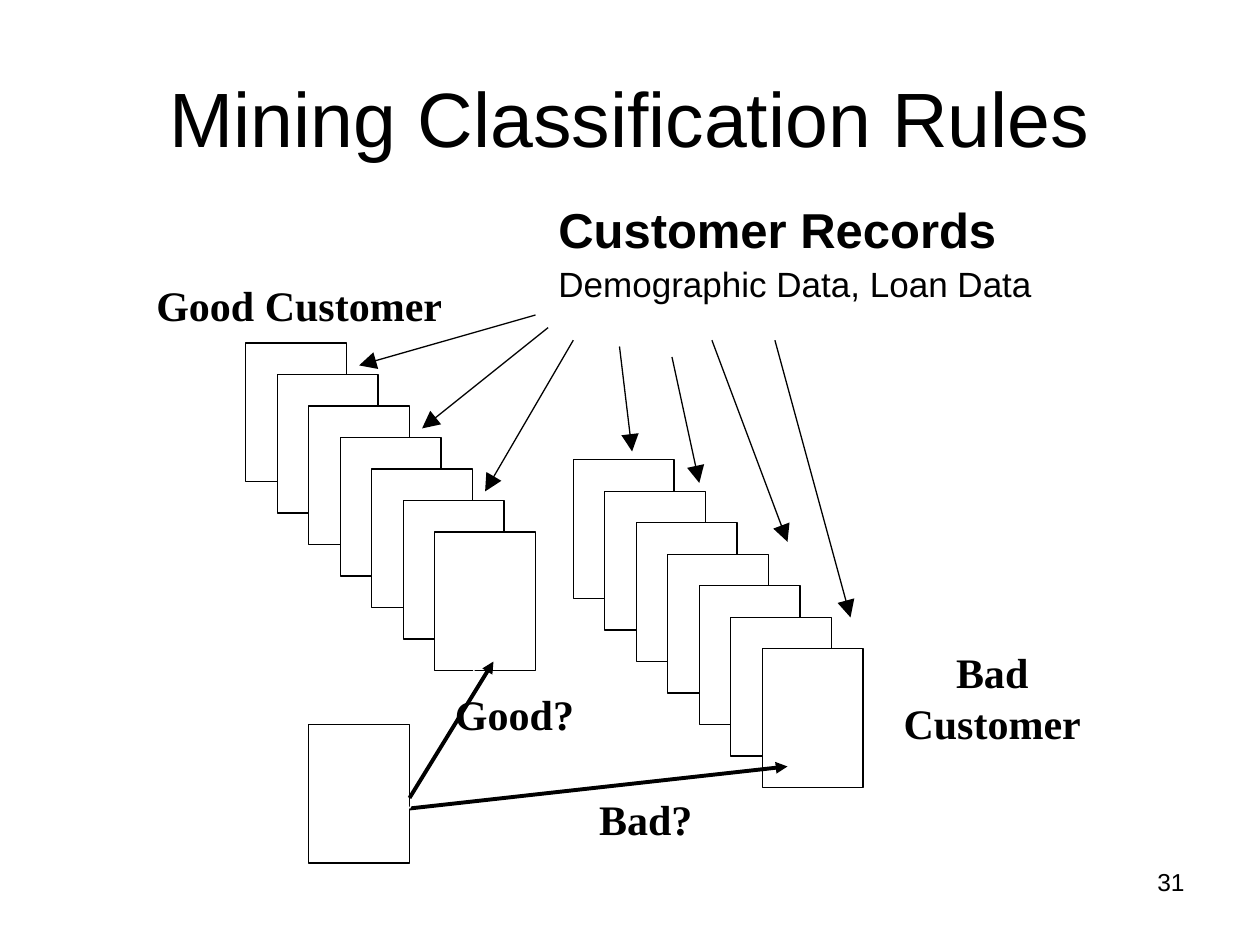
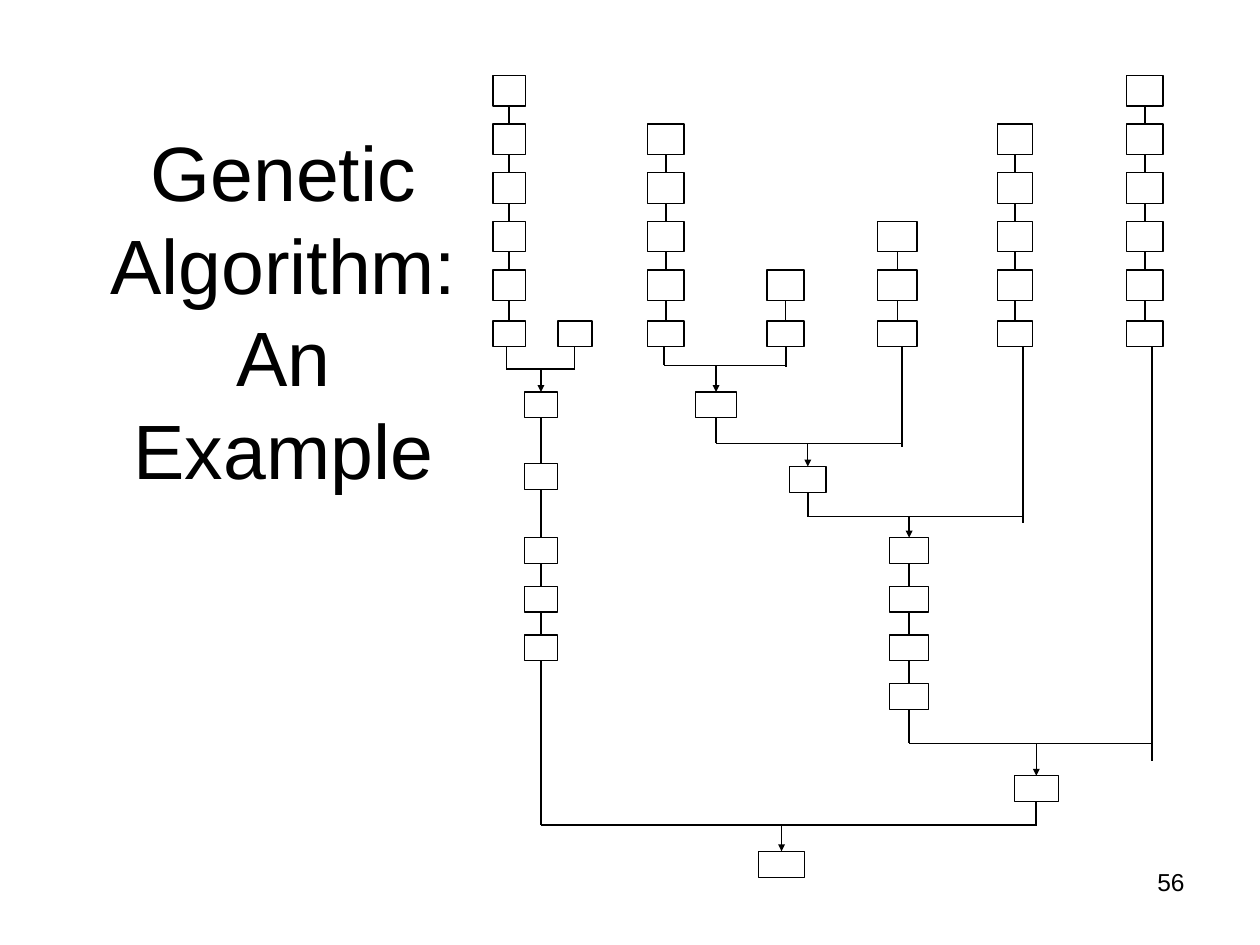
import pptx
import pptx.util
import pptx.dml.color
import pptx.enum.shapes
import pptx.enum.text
import pptx.oxml.ns
from lxml import etree

Pt = pptx.util.Pt
ALIGN = pptx.enum.text.PP_ALIGN
ANCHOR = pptx.enum.text.MSO_ANCHOR
BLACK = pptx.dml.color.RGBColor(0, 0, 0)
WHITE = pptx.dml.color.RGBColor(255, 255, 255)

# Text styles shared by the pages
TITLE = {"name": "Arial", "size": Pt(44), "bold": False}
NUMBER = {"name": "Arial", "size": Pt(14), "bold": False}
HEADING = {"name": "Arial", "size": Pt(28), "bold": True}
DETAIL = {"name": "Arial", "size": Pt(20), "bold": False}
LABEL = {"name": "Times New Roman", "size": Pt(24), "bold": True}
NUMBER_PLACE = (516, 492, 168, 37.2)
THIN, LINK, BOLD = 0.75, 1, 2.25

deck = pptx.Presentation()
deck.slide_width, deck.slide_height = Pt(720), Pt(540)
rules_page, tree_page = [deck.slides.add_slide(deck.slide_layouts[6]) for _ in range(2)]


def add_box(page, left, top, width, height, fill=None):
    """Draw a thin black rectangle, empty unless a fill is given."""
    box = page.shapes.add_shape(pptx.enum.shapes.MSO_SHAPE.RECTANGLE,
                                Pt(left), Pt(top), Pt(width), Pt(height))
    box.shadow.inherit = False
    box.line.color.rgb = BLACK
    box.line.width = Pt(THIN)
    if fill is None:
        box.fill.background()
    else:
        box.fill.solid()
        box.fill.fore_color.rgb = fill


def add_line(page, start, end, width=LINK, head=None, color=BLACK):
    """Draw a straight line; head is the arrowhead size: sm, med or lg."""
    line = page.shapes.add_connector(
        pptx.enum.shapes.MSO_CONNECTOR.STRAIGHT, *map(Pt, (*start, *end)))
    line.line.color.rgb = color
    line.line.width = Pt(width)
    properties = line._element.spPr
    etree.SubElement(properties, pptx.oxml.ns.qn("a:effectLst"))
    if head:
        outline = properties.find(pptx.oxml.ns.qn("a:ln"))
        etree.SubElement(outline, pptx.oxml.ns.qn("a:tailEnd"),
                         type="triangle", w=head, len=head)


# Rules: two diagonal stacks of customer cards, and the new customer's card
CARD_WIDTH, CARD_HEIGHT = 57.6, 79.2
STACK_SIZE, STACK_STEP = 7, 18
good_stack, bad_stack, new_customer = (140.4, 196), (327.6, 262.8), (176.4, 414)
for (left, top), count in [(good_stack, STACK_SIZE), (bad_stack, STACK_SIZE),
                           (new_customer, 1)]:
    for step in range(count):
        add_box(rules_page, left + step * STACK_STEP, top + step * STACK_STEP,
                CARD_WIDTH, CARD_HEIGHT, WHITE)

# Rules: arrows from the customer records to the stacks
for start, end in [
    ((306, 180), (205.2, 208.8)),
    ((313.2, 187.2), (241.2, 244.8)),
    ((327.6, 194.4), (277.2, 280.8)),
    ((354, 198), (361.2, 258)),
    ((384, 204), (399.6, 276)),
    ((406.8, 194.4), (450, 309.6)),
    ((442.8, 194.4), (486, 352.8)),
]:
    add_line(rules_page, start, end, THIN, "lg")

# Rules: arrows from the new customer to both classes
new_customer_edge = new_customer[0] + CARD_WIDTH
for start_y, end, width, color in [
    (462, (450, 438), BOLD, BLACK),
    (462, (276, 372), THIN, WHITE),
    (456, (282, 378), BOLD, BLACK),
]:
    add_line(rules_page, (new_customer_edge, start_y), end, width, "med", color)

# Tree: rows of box centres, at one pitch in the upper and the lower half
ROW_PITCH = 27.8
UPPER_ROWS = [51.8 + ROW_PITCH * row for row in range(6)]
LOWER_ROWS = [314.6 + ROW_PITCH * row for row in range(4)]
MERGE_ROW, SECOND_ROW = 231.4, 272.4
TALL, LOW = 17.5, 14.8

# Tree: every chain is drawn downwards and leaves its stem for the next merge
stems = {}

# Tree: starting columns, all ending on the last upper row
for name, depth, centre, width, stem_x in [
    ("A", 6, 291, 18.5, 289.4),
    ("B", 1, 328.6, 19.4, 328.3),
    ("C", 5, 380.5, 20.8, 379.4),
    ("D", 2, 448.9, 21.3, 449),
    ("E", 3, 512.8, 22.5, 515.5),
    ("F", 5, 580, 20.3, 584.6),
    ("G", 6, 654.2, 20.8, 658.1),
]:
    rows = UPPER_ROWS[-depth:]
    for row in rows:
        height = LOW if row == rows[-1] else TALL
        add_box(tree_page, centre - width / 2, row - height / 2, width, height)
    for upper, lower in zip(rows, rows[1:]):
        lower_height = LOW if lower == rows[-1] else TALL
        add_line(tree_page, (centre, upper + TALL / 2), (centre, lower - lower_height / 2))
    stems[name] = (stem_x, rows[-1] + LOW / 2)

# Tree: merges of two chains, where the right stem may run on below the bar
for left_name, right_name, bar_y, overrun, centre, width, rows in [
    ("A", "B", 211, 0.7, 309.1, 18.7, [MERGE_ROW, SECOND_ROW, *LOWER_ROWS[:3]]),
    ("C", "D", 208.8, 0.7, 409.2, 23.8, [MERGE_ROW]),
    ("CD", "E", 253.4, 2, 461.6, 20.9, [SECOND_ROW + 1.6]),
    ("CDE", "F", 295.2, 3.6, 519.5, 22.5, LOWER_ROWS),
    ("CDEF", "G", 424.8, 10, 592.2, 25.2, [450.7]),
    ("AB", "CDEFG", 471.6, 0.7, 446.6, 26.6, [493.9]),
]:
    left_x, left_top = stems[left_name]
    right_x, right_top = stems[right_name]
    add_line(tree_page, (left_x, left_top), (left_x, bar_y))
    add_line(tree_page, (right_x, right_top), (right_x, bar_y + overrun))
    add_line(tree_page, (left_x, bar_y), (right_x, bar_y))
    add_line(tree_page, (centre, bar_y), (centre, rows[0] - LOW / 2), THIN, "sm")
    for row in rows:
        add_box(tree_page, centre - width / 2, row - LOW / 2, width, LOW)
    for upper, lower in zip(rows, rows[1:]):
        add_line(tree_page, (centre, upper + LOW / 2), (centre, lower - LOW / 2))
    stems[left_name + right_name] = (centre, rows[-1] + LOW / 2)

# Texts of both pages: place, alignment, anchor, line spacing and styled lines
records = [("Customer Records", HEADING), ("Demographic Data, Loan Data", DETAIL)]
texts = [
    (rules_page, (36, 21.6, 648, 90), ALIGN.CENTER, ANCHOR.MIDDLE, 1,
     [("Mining Classification Rules", TITLE)]),
    (tree_page, (54, 48, 216, 258), ALIGN.CENTER, ANCHOR.MIDDLE, 1,
     [("Genetic Algorithm: An Example", TITLE)]),
    (rules_page, (312, 114, 318, 72), ALIGN.LEFT, ANCHOR.TOP, 0.9, records),
]
for page, number in [(rules_page, "31"), (tree_page, "56")]:
    texts.append((page, NUMBER_PLACE, ALIGN.RIGHT, ANCHOR.TOP, 1, [(number, NUMBER)]))
for label, place in [
    ("Good Customer", (78, 156, 186, 36)),
    ("Bad Customer", (498, 366, 138, 64.8)),
    ("Good?", (228, 390, 132, 36)),
    ("Bad?", (276, 450, 186, 36)),
]:
    texts.append((rules_page, place, ALIGN.CENTER, ANCHOR.TOP, 1, [(label, LABEL)]))

for page, place, align, anchor, spacing, lines in texts:
    frame = page.shapes.add_textbox(*map(Pt, place)).text_frame
    frame.word_wrap = True
    frame.vertical_anchor = anchor
    for index, (text, style) in enumerate(lines):
        para = frame.add_paragraph() if index else frame.paragraphs[0]
        para.alignment = align
        para.line_spacing = float(spacing)
        para.space_before = Pt(5 if index else 0)
        span = para.add_run()
        span.text = text
        span.font.color.rgb = BLACK
        for attribute, value in style.items():
            setattr(span.font, attribute, value)

deck.save("out.pptx")
